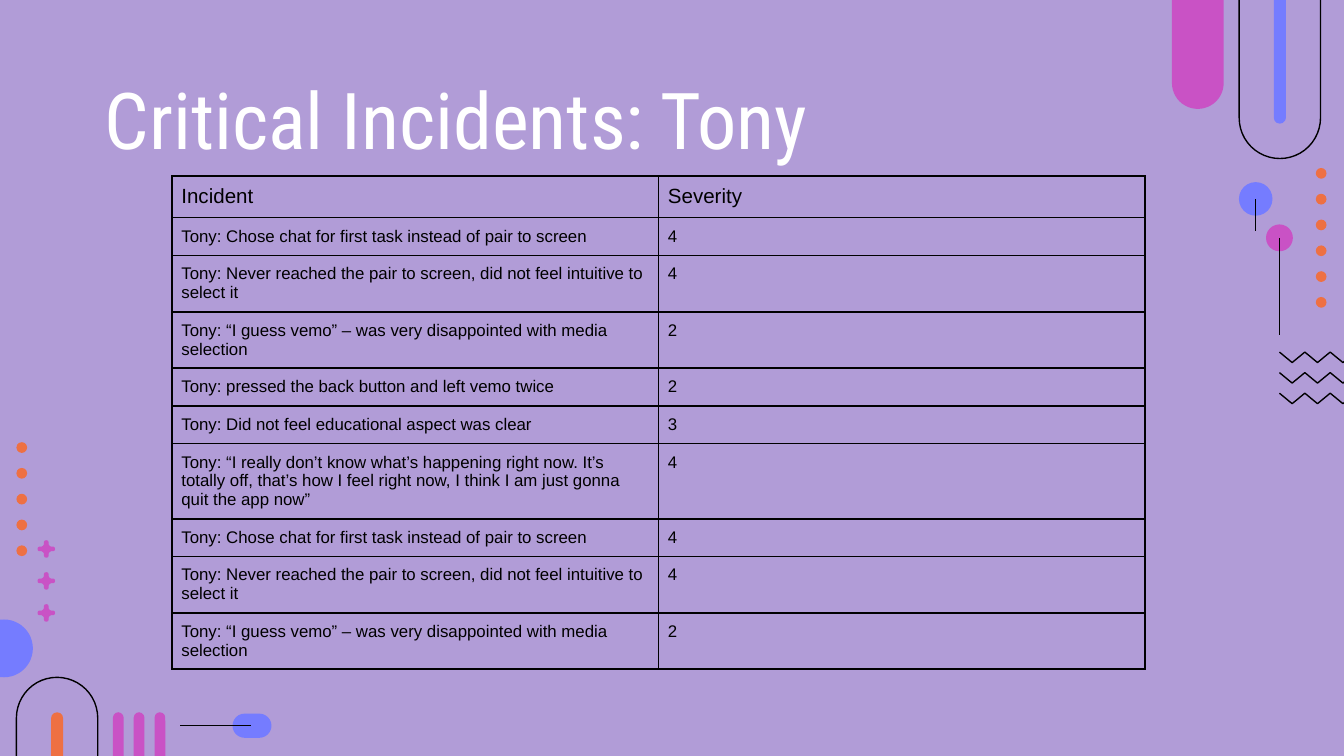
from lxml import etree
from pptx import Presentation
from pptx import util as u
from pptx.dml.color import RGBColor
from pptx.enum import shapes, text
from pptx.oxml import ns

# Grid: 100 columns by 56.25 rows of square cells
WIDE, HIGH = u.Inches(10), u.Inches(5.625)
CELL = WIDE / 100

INK, LILAC, WHITE = "000000", "B19CD7", "FFFFFF"
BLUE, PINK, CORAL = "757CFF", "C952C5", "EE7043"
OVAL = shapes.MSO_SHAPE.OVAL
PILL = shapes.MSO_SHAPE.ROUNDED_RECTANGLE

# One quarter of a sparkle, clockwise from its top
PETAL = [(0, -0.65), (0.12, -0.62), (0.17, -0.52), (0.17, -0.35),
         (0.24, -0.24), (0.35, -0.17), (0.52, -0.17), (0.62, -0.12)]

# Incident, severity, lines of text
ROWS = [
    ("Tony: Chose chat for first task instead of pair to screen", "4", 1),
    ("Tony: Never reached the pair to screen, did not feel intuitive to select it", "4", 2),
    ("Tony: “I guess vemo” – was very disappointed with media selection", "2", 2),
    ("Tony: pressed the back button and left vemo twice", "2", 1),
    ("Tony: Did not feel educational aspect was clear", "3", 1),
    ("Tony: “I really don’t know what’s happening right now. It’s totally off, "
     "that’s how I feel right now, I think I am just gonna quit the app now”", "4", 3),
]
ROWS += ROWS[:3]


def grid(*cells):
    return [u.Emu(round(n * CELL)) for n in cells]


def hue(code):
    return RGBColor.from_string(code)


def paint(shape, fill=None, line=None):
    shape.shadow.inherit = False
    if fill:
        shape.fill.solid()
        shape.fill.fore_color.rgb = hue(fill)
    else:
        shape.fill.background()
    if line:
        shape.line.color.rgb = hue(line)
        shape.line.width = u.Pt(0.75)
    else:
        shape.line.fill.background()


def block(slide, kind, x, y, w, h, fill=None, line=None):
    shape = slide.shapes.add_shape(kind, *grid(x, y, w, h))
    if kind == PILL:
        shape.adjustments[0] = 0.5
    paint(shape, fill, line)


def disc(slide, x, y, size, fill):
    """A circle around the point x, y."""
    block(slide, OVAL, x - size / 2, y - size / 2, size, size, fill)


def dots(slide, x, y, count):
    for i in range(count):
        disc(slide, x, y + 1.92 * i, 0.8, CORAL)


def trace(slide, pts, closed, fill=None, line=None):
    pts = [grid(*p) for p in pts]
    pen = slide.shapes.build_freeform(*pts[0])
    pen.add_line_segments(pts[1:], close=closed)
    paint(pen.convert_to_shape(), fill, line)


def spark(slide, x, y):
    pts, turn = [], PETAL
    for _ in range(4):
        pts += [(x + a, y + b) for a, b in turn]
        turn = [(-b, a) for a, b in turn]
    trace(slide, pts, True, fill=PINK)


def wave(slide, x, y):
    pts = [(x + 0.945 * i, y + 0.78 * (i % 2)) for i in range(16)]
    trace(slide, pts, False, line=INK)


def stem(slide, x1, y1, x2, y2):
    link = slide.shapes.add_connector(
        shapes.MSO_CONNECTOR.STRAIGHT, *grid(x1, y1, x2, y2))
    link.line.color.rgb = hue(INK)
    link.line.width = u.Pt(0.75)
    etree.SubElement(link._element.spPr, ns.qn("a:effectLst"))


def write(frame, words, size, font, color):
    run = frame.paragraphs[0].add_run()
    run.text = words
    run.font.size = u.Pt(size)
    run.font.name = font
    run.font.color.rgb = hue(color)


def left_art(slide):
    block(slide, PILL, 17.3, 53.1, 2.9, 1.8, BLUE)
    stem(slide, 13.4, 54, 18.7, 54)
    for i in range(3):
        spark(slide, 3.45, 40.85 + 2.38 * i)
        block(slide, PILL, 8.4 + 1.55 * i, 53, 0.8, 8.9, PINK)
    disc(slide, 0.3, 48.25, 4.3, BLUE)
    dots(slide, 1.62, 33.3, 5)
    block(slide, PILL, 1.22, 50.4, 6.05, 15.6, line=INK)
    block(slide, PILL, 3.8, 53, 0.9, 10.5, CORAL)


def right_art(slide):
    disc(slide, 93.43, 14.8, 2.5, BLUE)
    stem(slide, 93.43, 14.8, 93.43, 17.2)
    dots(slide, 98.3, 12.9, 6)
    block(slide, PILL, 92.2, -3.8, 6.05, 15.6, line=INK)
    block(slide, PILL, 94.78, -1.3, 0.9, 10.5, BLUE)
    block(slide, PILL, 87.2, -3.8, 3.85, 11.9, PINK)
    disc(slide, 95.2, 17.7, 2, PINK)
    stem(slide, 95.2, 17.7, 95.2, 24.9)
    for i in range(3):
        wave(slide, 95.2, 26.2 + 1.53 * i)


def title(slide, words):
    head = slide.shapes.title
    head.left, head.top, head.width, head.height = grid(7.8, 5.9, 84.3, 5.8)
    frame = head.text_frame
    frame.margin_left = frame.margin_right = 0
    frame.margin_top, frame.margin_bottom = grid(1, 1)
    frame.vertical_anchor = text.MSO_ANCHOR.MIDDLE
    frame.word_wrap = True
    frame.auto_size = text.MSO_AUTO_SIZE.NONE
    frame.paragraphs[0].alignment = text.PP_ALIGN.LEFT
    write(frame, words, 42, "Roboto Condensed", WHITE)


def fence(cell):
    """Black border on all four sides."""
    props = cell._tc.get_or_add_tcPr()
    for side in ("lnL", "lnR", "lnT", "lnB"):
        edge = etree.SubElement(props, ns.qn("a:" + side), w=str(u.Pt(1)))
        fill = etree.SubElement(edge, ns.qn("a:solidFill"))
        etree.SubElement(fill, ns.qn("a:srgbClr"), val=INK)


def table(slide):
    tall = [3.1] + [1.4 + 1.4 * lines for *_, lines in ROWS]
    data = [("Incident", "Severity")] + [row[:2] for row in ROWS]
    tab = slide.shapes.add_table(
        len(data), 2, *grid(12.8, 13.1, 72.4, sum(tall))).table
    tab.first_row = tab.horz_banding = False
    for r, row in enumerate(data):
        tab.rows[r].height = grid(tall[r])[0]
        for c, words in enumerate(row):
            cell = tab.cell(r, c)
            fence(cell)
            cell.fill.background()
            (cell.margin_left, cell.margin_right,
             cell.margin_top, cell.margin_bottom) = grid(*[0.7] * 4)
            write(cell.text_frame, words, 9 if r else 11, "Arial", INK)


def main():
    deck = Presentation()
    deck.slide_width, deck.slide_height = WIDE, HIGH
    slide = deck.slides.add_slide(deck.slide_layouts[5])
    slide.background.fill.solid()
    slide.background.fill.fore_color.rgb = hue(LILAC)
    # Decoration
    left_art(slide)
    right_art(slide)
    # Content
    title(slide, "Critical Incidents: Tony")
    table(slide)
    deck.save("out.pptx")


if __name__ == "__main__":
    main()
